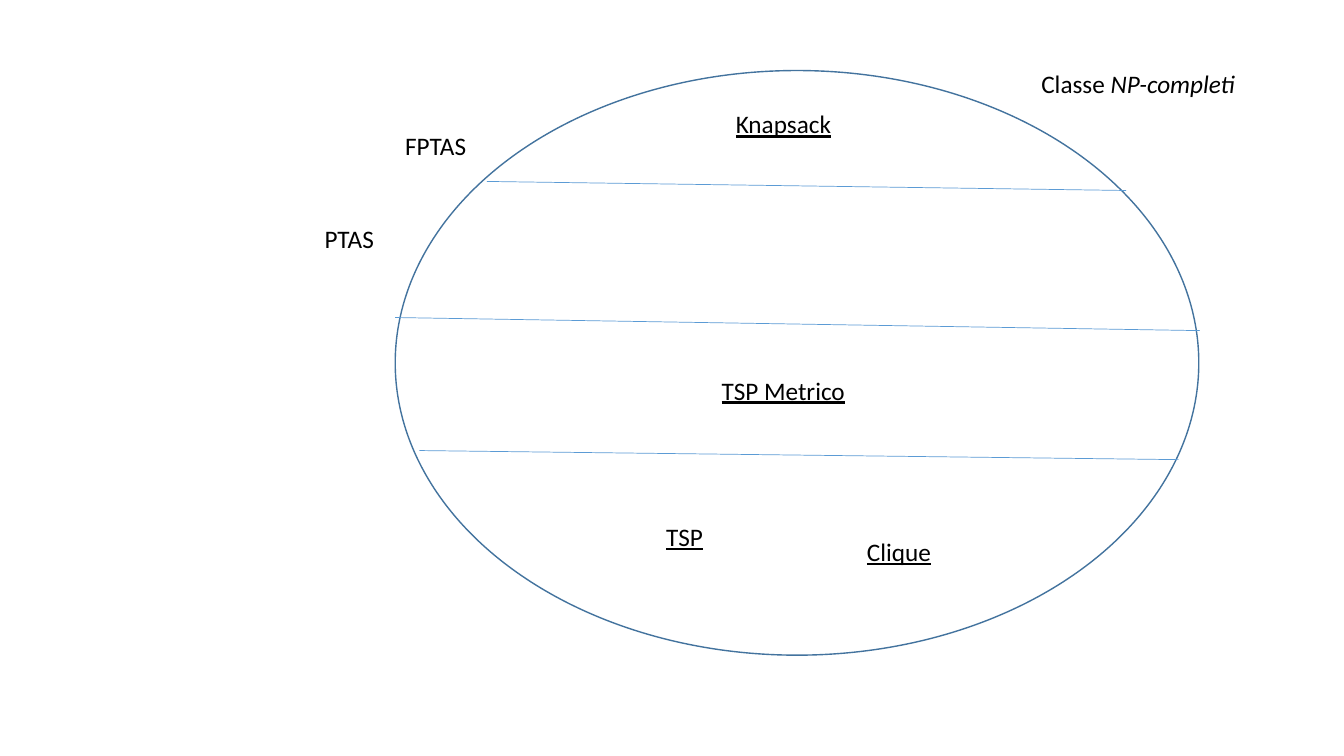
from dataclasses import dataclass

from pptx import Presentation
from pptx.dml.color import RGBColor as RGB
from pptx.enum.shapes import MSO_CONNECTOR as Conn, MSO_SHAPE as Geo
from pptx.enum.text import MSO_AUTO_SIZE as Fit
from pptx.oxml.ns import qn
from pptx.slide import Slide
from pptx.util import Inches, Pt
from lxml.etree import SubElement as sub


@dataclass(frozen=True)
class Theme:
    font: str = "Calibri"
    size: Pt = Pt(18)
    ink: RGB = RGB(0x00, 0x00, 0x00)
    rim: RGB = RGB(0x43, 0x73, 0x9E)
    rule: RGB = RGB(0x5B, 0x9B, 0xD5)
    thick: Pt = Pt(1)
    thin: Pt = Pt(0.5)


@dataclass(frozen=True)
class Label:
    text: str
    left: float
    top: float
    width: float
    under: bool = False
    slant: str = ""  # italic ending
    wrap: bool = False


@dataclass(frozen=True)
class Split:
    x1: float
    y1: float
    x2: float
    y2: float


THEME = Theme()
HIGH = 0.4  # height of every label

SPLITS = [
    Split(4.83, 1.8, 11.17, 1.89),
    Split(3.92, 3.15, 11.9, 3.28),
    Split(4.16, 4.47, 11.69, 4.56),
]
LABELS = [
    Label("Classe ", 10.23, 0.63, 2.64, slant="NP-completi", wrap=True),
    Label("FPTAS", 3.92, 1.24, 0.81),
    Label("PTAS", 3.12, 2.17, 0.69),
    Label("Knapsack", 7.2, 1.03, 1.16, under=True),
    Label("TSP Metrico", 7.06, 3.67, 1.43, under=True),
    Label("TSP", 6.51, 5.12, 0.57, under=True),
    Label("Clique", 8.5, 5.27, 0.85, under=True),
]


def add_set(slide: Slide) -> None:
    oval = slide.shapes.add_shape(
        Geo.OVAL, Inches(3.92), Inches(0.7), Inches(7.97), Inches(5.8))
    oval.shadow.inherit = False
    oval.fill.background()
    oval.line.color.rgb = THEME.rim
    oval.line.width = THEME.thick


def add_split(slide: Slide, cut: Split) -> None:
    line = slide.shapes.add_connector(
        Conn.STRAIGHT, Inches(cut.x1), Inches(cut.y1),
        Inches(cut.x2), Inches(cut.y2))
    line.line.color.rgb = THEME.rule
    line.line.width = THEME.thin
    sub(line._element.spPr, qn("a:effectLst"))


def add_label(slide: Slide, label: Label) -> None:
    box = slide.shapes.add_textbox(
        Inches(label.left), Inches(label.top),
        Inches(label.width), Inches(HIGH))
    frame = box.text_frame
    frame.word_wrap = label.wrap
    frame.auto_size = Fit.SHAPE_TO_FIT_TEXT
    para = frame.paragraphs[0]
    para.add_run().text = label.text
    if label.slant:
        tail = para.add_run()
        tail.text = label.slant
        tail.font.italic = True
    font = para.font
    font.name = THEME.font
    font.size = THEME.size
    font.color.rgb = THEME.ink
    if label.under:
        font.underline = True


def main() -> None:
    deck = Presentation()
    deck.slide_width = Inches(13.33)
    deck.slide_height = Inches(7.5)
    slide = deck.slides.add_slide(deck.slide_layouts[6])

    # Class outline
    add_set(slide)
    # Borders between the bands
    for cut in SPLITS:
        add_split(slide, cut)
    # Class names and problems
    for label in LABELS:
        add_label(slide, label)

    deck.save("out.pptx")


if __name__ == "__main__":
    main()
